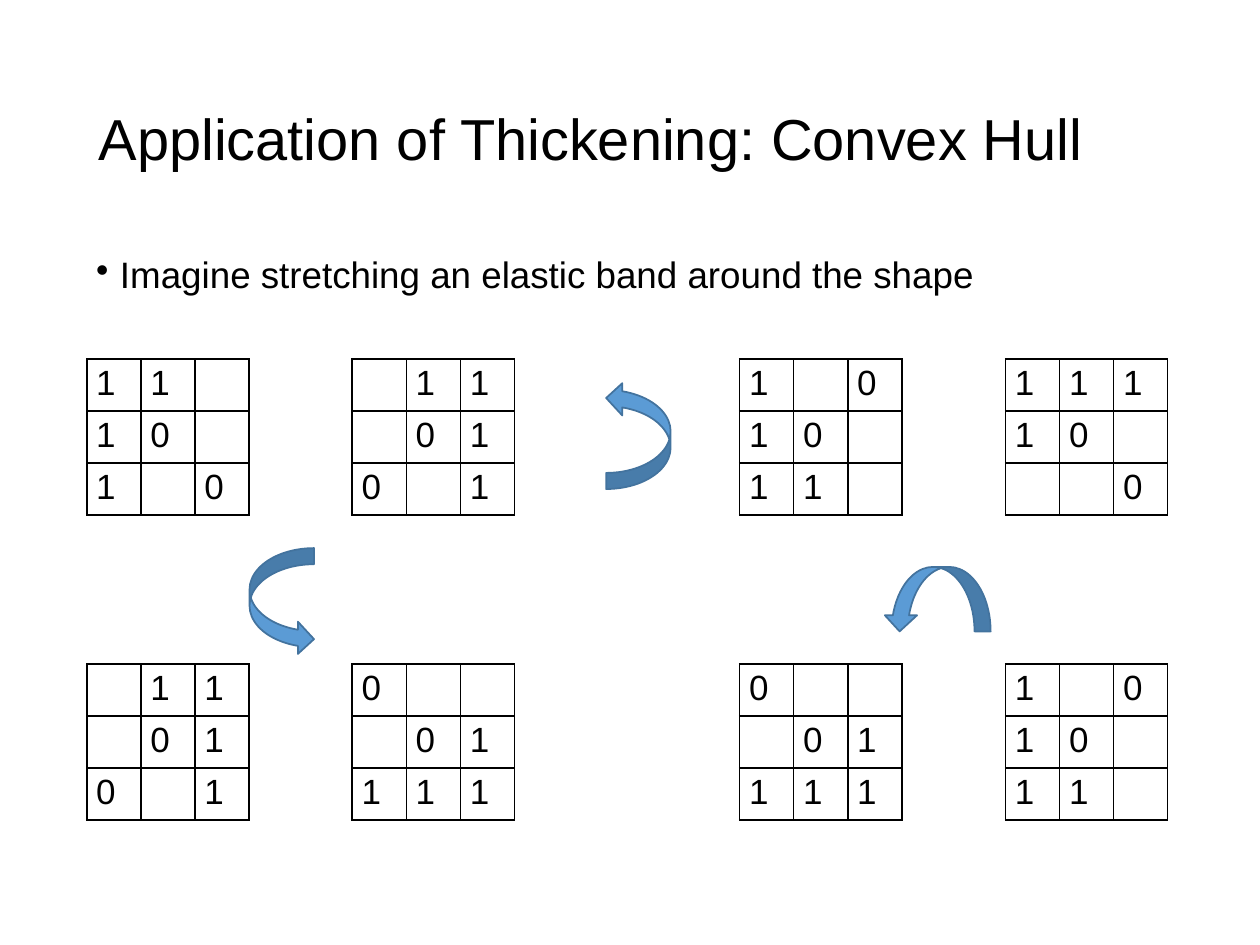
import pptx
import pptx.dml.color
import pptx.enum.shapes
import pptx.enum.text
import pptx.oxml
import pptx.oxml.ns
import pptx.util
from pptx.util import Cm

TITLE = "Application of Thickening: Convex Hull"
POINT = "Imagine stretching an elastic band around the shape"

# Structuring elements, each as three rows of three cells
MASKS = [
    [("11 ", "10 ", "1 0"), (" 11", " 01", "0 1"), ("1 0", "10 ", "11 "), ("111", "10 ", "  0")],
    [(" 11", " 01", "0 1"), ("0  ", " 01", "111"), ("0  ", " 01", "111"), ("1 0", "10 ", "11 ")],
]
MASK_LEFTS = (1.75, 7.1, 14.91, 20.27)
MASK_TOPS = (7.24, 13.39)
CELL_WIDTH, CELL_HEIGHT = 1.09, 1.04

# Turn arrows: left, top, rotation
TURNS = [(12.22, 7.7, 0), (18.24, 11, 270), (5.03, 11.05, 180)]

FONT, BLACK = "Arial", "000000"
ARROW_FILL, ARROW_EDGE = "5B9BD5", "43739E"


def color(value):
    return pptx.dml.color.RGBColor.from_string(value)


def add_run(paragraph, words, size):
    run = paragraph.add_run()
    run.text = words
    run.font.name = FONT
    run.font.size = pptx.util.Pt(size)
    run.font.color.rgb = color(BLACK)


def add_text(slide, top, height, words, size, side_margin, anchor):
    frame = slide.shapes.add_textbox(Cm(1.75), Cm(top), Cm(21.9), Cm(height)).text_frame
    frame.word_wrap = True
    frame.vertical_anchor = anchor
    frame.margin_left = frame.margin_right = Cm(side_margin)
    frame.margin_top = frame.margin_bottom = Cm(0.1)
    paragraph = frame.paragraphs[0]
    paragraph.line_spacing = 0.9
    add_run(paragraph, words, size)
    return paragraph


def add_bullet(paragraph):
    properties = paragraph._p.get_or_add_pPr()
    properties.set("marL", str(Cm(0.48)))
    properties.set("indent", str(-Cm(0.48)))
    bullet = pptx.oxml.parse_xml(
        f'<a:buChar {pptx.oxml.ns.nsdecls("a")} char="•"/>')
    properties.append(bullet)


def add_borders(cell):
    properties = cell._tc.get_or_add_tcPr()
    for position, side in enumerate(("lnL", "lnR", "lnT", "lnB")):
        border = pptx.oxml.parse_xml(
            f'<a:{side} {pptx.oxml.ns.nsdecls("a")} w="{pptx.util.Pt(1)}">'
            f'<a:solidFill><a:srgbClr val="{BLACK}"/></a:solidFill></a:{side}>')
        properties.insert(position, border)


def add_mask(slide, left, top, rows):
    mask = slide.shapes.add_table(3, 3, Cm(left), Cm(top),
                                  Cm(3 * CELL_WIDTH), Cm(3 * CELL_HEIGHT)).table
    mask.first_row = mask.horz_banding = False
    for column in mask.columns:
        column.width = Cm(CELL_WIDTH)
    for r, row in enumerate(rows):
        mask.rows[r].height = Cm(CELL_HEIGHT)
        for c, digit in enumerate(row):
            cell = mask.cell(r, c)
            cell.margin_left = cell.margin_right = Cm(0.19)
            cell.margin_top = cell.margin_bottom = Cm(0.1)
            cell.fill.background()
            add_borders(cell)
            if digit != " ":
                add_run(cell.text_frame.paragraphs[0], digit, 20)


def add_turn(slide, left, top, rotation):
    turn = slide.shapes.add_shape(pptx.enum.shapes.MSO_SHAPE.CURVED_LEFT_ARROW,
                                  Cm(left), Cm(top), Cm(1.3), Cm(2.16))
    turn.shadow.inherit = False
    turn.rotation = rotation
    turn._element.spPr.xfrm.set("flipV", "1")
    turn.fill.solid()
    turn.fill.fore_color.rgb = color(ARROW_FILL)
    turn.line.color.rgb = color(ARROW_EDGE)
    turn.line.width = pptx.util.Pt(1)


def main():
    deck = pptx.Presentation()
    deck.slide_width, deck.slide_height = Cm(25.4), Cm(19.05)
    slide = deck.slides.add_slide(deck.slide_layouts[6])

    # Title and point
    anchors = pptx.enum.text.MSO_ANCHOR
    add_text(slide, 1.02, 3.68, TITLE, 33, 0.24, anchors.MIDDLE)
    point = add_text(slide, 5.08, 12.09, POINT, 21, 0.19, anchors.TOP)
    point.space_before = pptx.util.Pt(7.5)
    add_bullet(point)

    # Grid of masks
    for top, masks in zip(MASK_TOPS, MASKS):
        for left, rows in zip(MASK_LEFTS, masks):
            add_mask(slide, left, top, rows)

    # Turn arrows
    for turn in TURNS:
        add_turn(slide, *turn)

    deck.save("out.pptx")


if __name__ == "__main__":
    main()
